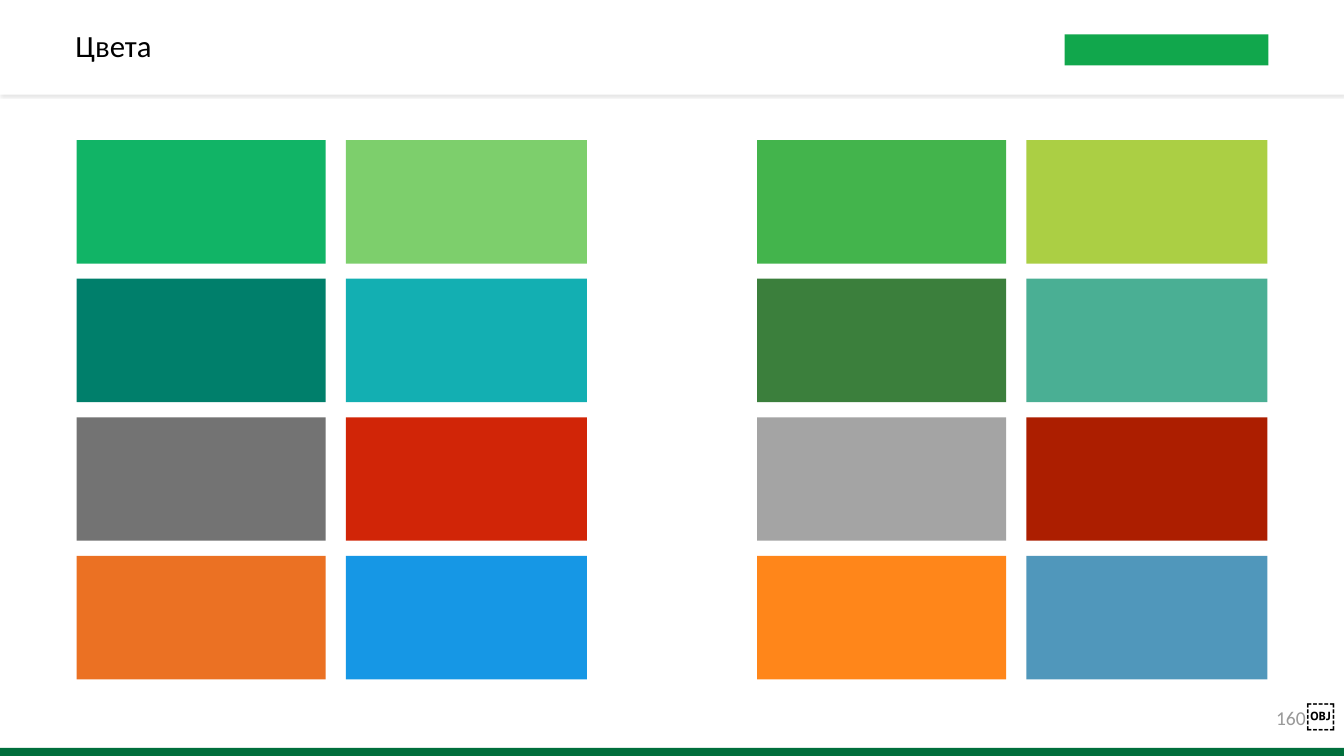
from dataclasses import dataclass

from lxml import etree
from pptx import Presentation
from pptx.dml.color import RGBColor
from pptx.enum.shapes import MSO_SHAPE
from pptx.enum.text import MSO_ANCHOR, PP_ALIGN
from pptx.oxml.ns import qn
from pptx.util import Inches, Pt

RECT = MSO_SHAPE.RECTANGLE
MIDDLE = MSO_ANCHOR.MIDDLE
LEFT, CENTER = PP_ALIGN.LEFT, PP_ALIGN.CENTER


@dataclass(frozen=True)
class Theme:
    """Colours, fonts and type sizes of the slide."""
    white: str = "FFFFFF"
    black: str = "000000"
    shade: str = "8A8A8A"
    muted: str = "999999"
    brand: str = "11A74C"
    footer: str = "006F3C"
    main: tuple = (("11B466", "7DCF6C"), ("007F6B", "13AFB2"),
                   ("737373", "D12507"), ("EB7123", "1697E5"))
    extra: tuple = (("43B44C", "ABCF44"), ("3B7F3C", "4AAF94"),
                    ("A4A4A4", "AC1E00"), ("FF861A", "5097BB"))
    font: str = "Calibri"
    mark_font: str = "Cabin"
    title: int = 22
    page: int = 14
    mark: int = 21


THEME = Theme()


def add_rect(slide, box, color):
    """Add a plain filled rectangle in a box given in inches."""
    shape = slide.shapes.add_shape(RECT, *map(Inches, box))
    shape.shadow.inherit = False
    shape.fill.solid()
    shape.fill.fore_color.rgb = RGBColor.from_string(color)
    shape.line.fill.background()
    return shape


def add_shadow(shape, color):
    """Cast a soft shadow below a shape."""
    effects = shape._element.spPr.find(qn("a:effectLst"))
    outer = etree.SubElement(effects, qn("a:outerShdw"), blurRad=str(Pt(1)),
                             dist=str(Pt(2)), dir="5400000", rotWithShape="0")
    tint = etree.SubElement(outer, qn("a:srgbClr"), val=color)
    etree.SubElement(tint, qn("a:alpha"), val="20000")


def add_text(slide, box, runs, align=LEFT, inset=(0, 0), spacing=1.0):
    """Add one paragraph of (text, font, size, colour) runs."""
    frame = slide.shapes.add_textbox(*map(Inches, box)).text_frame
    frame.word_wrap = True
    frame.vertical_anchor = MIDDLE
    frame.margin_left = frame.margin_right = Inches(inset[0])
    frame.margin_top = frame.margin_bottom = Inches(inset[1])
    para = frame.paragraphs[0]
    para.alignment = align
    para.line_spacing = spacing
    for text, font, size, color in runs:
        run = para.add_run()
        run.text = text
        run.font.name = font
        run.font.size = Pt(size)
        run.font.color.rgb = RGBColor.from_string(color)


def add_header(slide, box, title):
    """Draw the title band with a plain block at its right."""
    left, top, width, height = box
    add_shadow(add_rect(slide, box, THEME.white), THEME.shade)
    add_rect(slide, (left + width - 2.77, top + 0.34, 2.02, 0.31), THEME.brand)
    add_text(slide, (left + 0.65, top, 9.84, height),
             [(title, THEME.font, THEME.title, THEME.black)],
             inset=(0.1, 0.05), spacing=0.9)


def add_swatches(slide, box, rows, widths=(2.47, 2.39), gap=0.15):
    """Fill a box with rows of colour swatches."""
    left, top, width, height = box
    tall = (height - gap * (len(rows) - 1)) / len(rows)
    for i, colors in enumerate(rows):
        y = top + i * (tall + gap)
        places = (left, left + width - widths[1])
        for x, wide, color in zip(places, widths, colors):
            add_rect(slide, (x, y, wide, tall), color)


def add_footer(slide, box, page):
    """Draw the bottom bar and the page number above it."""
    left, top, width, height = box
    add_rect(slide, box, THEME.footer)
    add_text(slide, (left + width - 0.76, top - 0.51, 0.76, 0.35),
             [(page, THEME.font, THEME.page, THEME.muted),
              ("￼", THEME.mark_font, THEME.mark, THEME.black)], align=CENTER)


def main():
    """Build the colour palette slide."""
    deck = Presentation()
    deck.slide_width, deck.slide_height = Inches(13.33), Inches(7.5)
    slide = deck.slides.add_slide(deck.slide_layouts[6])
    add_footer(slide, (0, 7.42, 13.33, 0.08), "160")
    add_header(slide, (0, 0, 13.33, 0.94), "Цвета")
    for left, rows in ((0.76, THEME.main), (7.51, THEME.extra)):
        add_swatches(slide, (left, 1.39, 5.06, 5.35), rows)
    deck.save("out.pptx")


if __name__ == "__main__":
    main()
